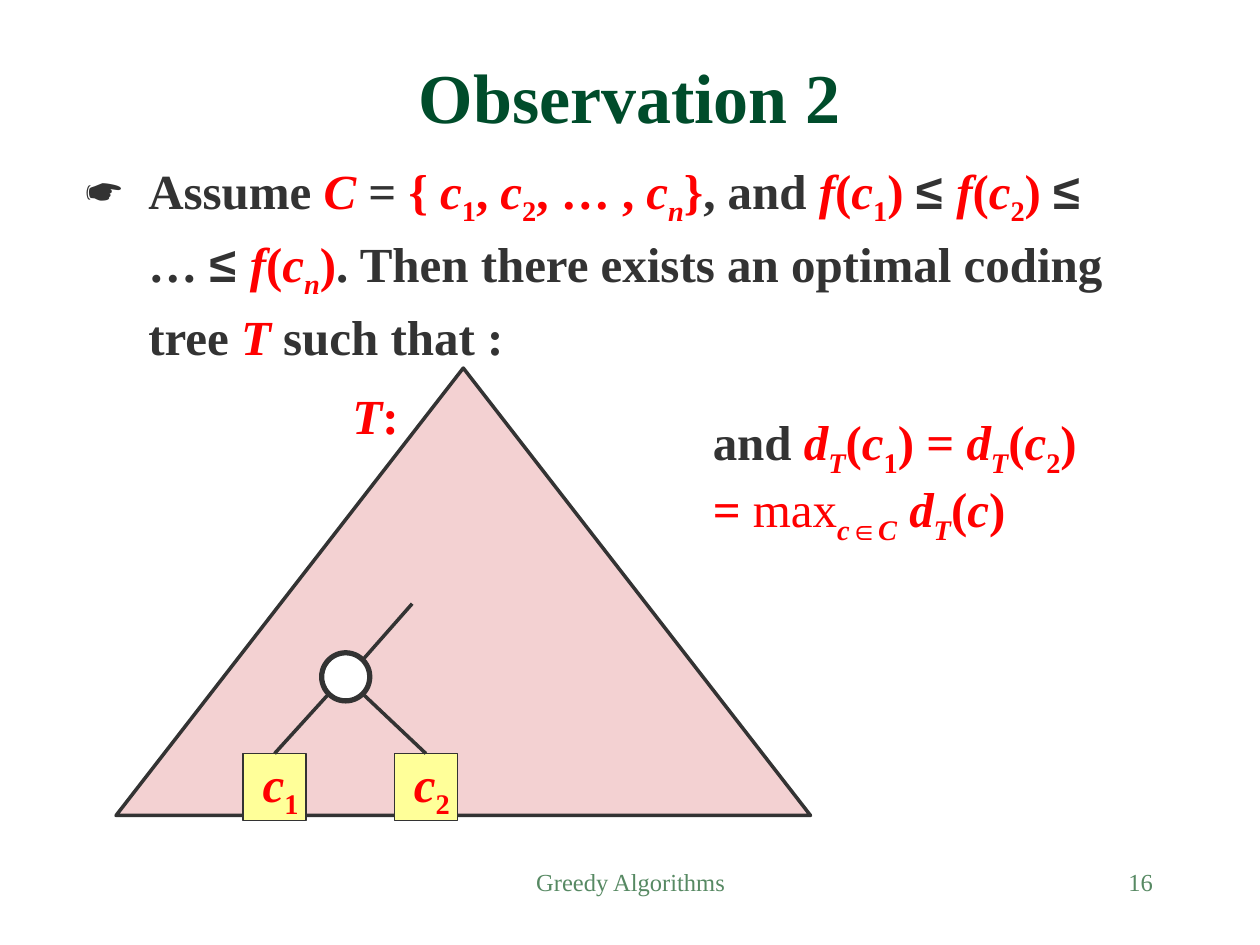
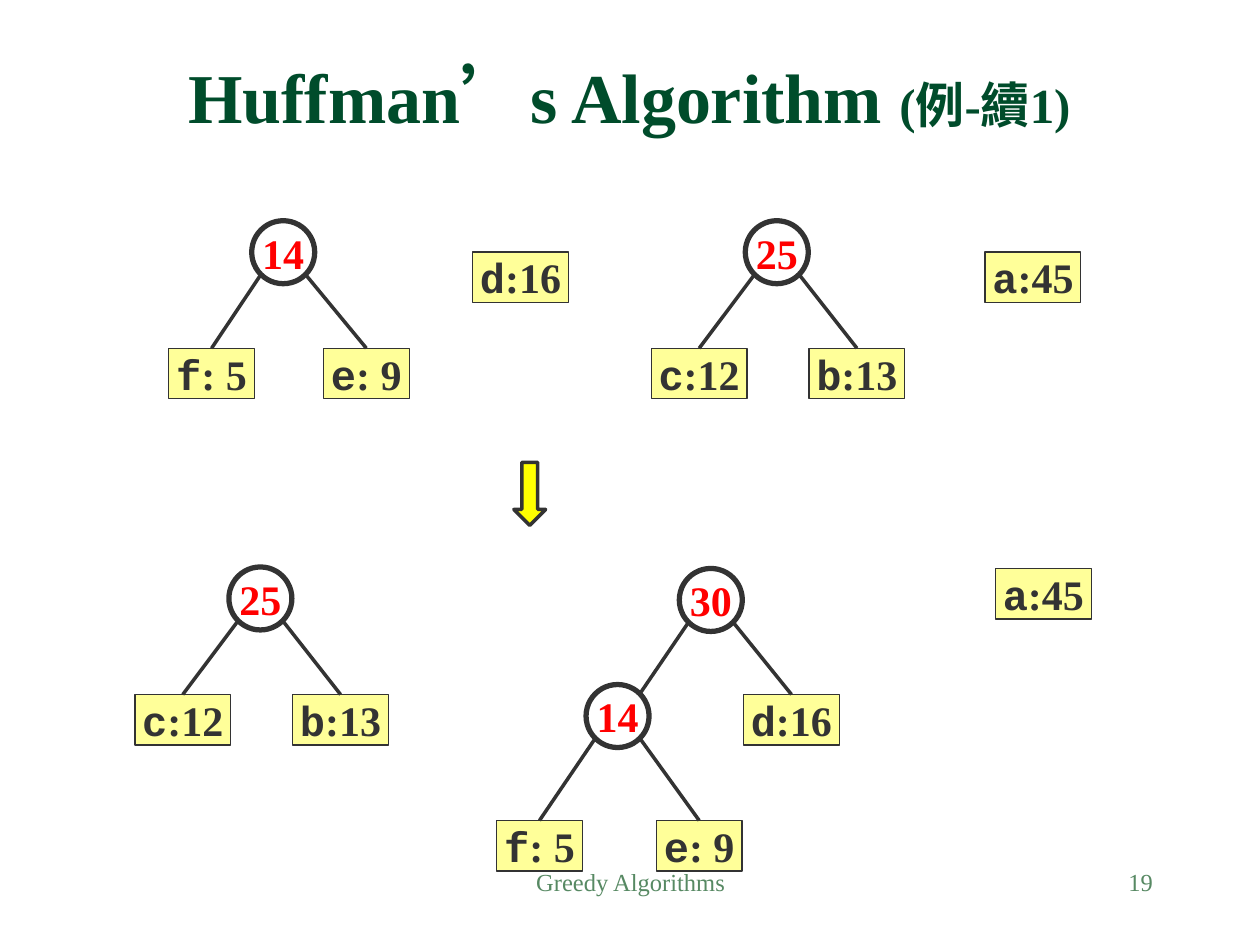
from math import sqrt

from lxml.etree import SubElement
from pptx import Presentation
from pptx.dml.color import RGBColor
from pptx.enum.shapes import MSO_CONNECTOR, MSO_SHAPE
from pptx.enum.text import MSO_ANCHOR, PP_ALIGN
from pptx.oxml.ns import qn
from pptx.util import Cm, Pt

GREEN = RGBColor(0x00, 0x4C, 0x2B)
FOOTER_GREEN = RGBColor(0x57, 0x89, 0x63)
INK = RGBColor(0x33, 0x33, 0x33)
RED = RGBColor(0xFF, 0x00, 0x00)
PINK = RGBColor(0xF3, 0xD1, 0xD2)
PALE_YELLOW = RGBColor(0xFF, 0xFF, 0x99)
YELLOW = RGBColor(0xFF, 0xFF, 0x00)
WHITE = RGBColor(0xFF, 0xFF, 0xFF)
SERIF, SANS, MONO = "Times New Roman", "Arial", "Courier New"

NODE_SIZE = 1.27
LEAF_HEIGHT = 1.02
LEAF_DROP = 2.57


def write(paragraph, runs, size, color=INK, bold=True, align=PP_ALIGN.LEFT):
    paragraph.alignment = align
    font = paragraph.font
    font.name, font.size, font.bold = SERIF, Pt(size), bold
    font.color.rgb = color
    for text, style in runs:
        run = paragraph.add_run()
        run.text = text
        if "r" in style:
            run.font.color.rgb = RED
        if "i" in style:
            run.font.italic = True
        if "l" in style:
            run.font.bold = False
        if "a" in style:
            run.font.name = SANS
        if "m" in style:
            run.font.name = MONO
        if "s" in style:
            run._r.get_or_add_rPr().set("baseline", "-25000")


def add_text(slide, box, wrap=True):
    frame = slide.shapes.add_textbox(*map(Cm, box)).text_frame
    frame.word_wrap = wrap
    return frame


def add_figure(slide, preset, box, fill, line_width):
    figure = slide.shapes.add_shape(preset, *map(Cm, box))
    figure.shadow.inherit = False
    figure.fill.solid()
    figure.fill.fore_color.rgb = fill
    figure.line.color.rgb = INK
    figure.line.width = Pt(line_width)
    return figure


def label(figure, runs, size, color, side_margin, anchor):
    frame = figure.text_frame
    frame.word_wrap = False
    frame.vertical_anchor = anchor
    frame.margin_left = frame.margin_right = Cm(side_margin)
    frame.margin_top = frame.margin_bottom = 0
    write(frame.paragraphs[0], runs, size, color, align=PP_ALIGN.CENTER)


def add_leaf(slide, box, runs, size):
    leaf = add_figure(slide, MSO_SHAPE.RECTANGLE, box, PALE_YELLOW, 0.75)
    label(leaf, runs, size, INK, 0.15, MSO_ANCHOR.TOP)
    return leaf


def add_node(slide, center, top, size=NODE_SIZE, weight=None):
    node = add_figure(slide, MSO_SHAPE.OVAL,
                      (center - size / 2, top, size, size), WHITE, 3)
    if weight:
        label(node, [(weight, "")], 24, RED, 0, MSO_ANCHOR.MIDDLE)
    return node


def rim(node, across, down):
    radius = node.width / 2
    reach = radius / sqrt(2)
    return (int(node.left + radius + across * reach),
            int(node.top + radius + down * reach))


def add_edge(slide, start, end):
    edge = slide.shapes.add_connector(MSO_CONNECTOR.STRAIGHT, *start, *end)
    edge.line.color.rgb = INK
    edge.line.width = Pt(2)
    SubElement(edge._element.spPr, qn("a:effectLst"))
    return edge


def join_leaf(slide, node, leaf, across):
    start = rim(node, across, 1)
    add_edge(slide, start, start).end_connect(leaf, 0)


def add_symbol(slide, left, top, symbol, frequency):
    return add_leaf(slide, (left, top, leaf_width(frequency), LEAF_HEIGHT),
                    [(symbol, "m"), (":" + frequency, "")], 24)


def leaf_width(frequency):
    return 1.73 if frequency.startswith(" ") else 1.93


def add_tree(slide, box, root_offset, weight, symbols):
    left, top, width, drop = box
    root = add_node(slide, left + root_offset, top, weight=weight)
    (first, low), (second, high) = symbols
    lefts = (left, left + width - leaf_width(high))
    for across, leaf_left, symbol, frequency in (
            (-1, lefts[0], first, low), (1, lefts[1], second, high)):
        leaf = add_symbol(slide, leaf_left, top + drop, symbol, frequency)
        join_leaf(slide, root, leaf, across)
    return root


def add_merged_tree(slide, left, top):
    root = add_node(slide, left + 4.32, top, weight="30")
    merged = add_tree(slide, (left, top + 2.34, 4.95, 2.74), 2.44, "14",
                      (("f", " 5"), ("e", " 9")))
    add_edge(slide, rim(root, -1, 1), rim(merged, 1, -1))
    leaf = add_symbol(slide, left + 4.98, top + 2.54, "d", "16")
    join_leaf(slide, root, leaf, 1)


def add_frame(presentation, title_runs, number):
    slide = presentation.slides.add_slide(presentation.slide_layouts[6])
    title = add_text(slide, (1.07, 0.2, 23.24, 2.59))
    title.vertical_anchor = MSO_ANCHOR.MIDDLE
    heading = title.paragraphs[0]
    heading.line_spacing = 1.5
    write(heading, title_runs, 40, GREEN, align=PP_ALIGN.CENTER)
    for left, width, text, align in (
            (8.69, 8.05, "Greedy Algorithms", PP_ALIGN.CENTER),
            (18.21, 5.28, number, PP_ALIGN.RIGHT)):
        footer = add_text(slide, (left, 17.35, width, 1.27))
        write(footer.paragraphs[0], [(text, "")], 14, FOOTER_GREEN, False, align)
    return slide


def symbol_c(index, index_style="rs"):
    return [("c", "ri"), (index, index_style)]


def frequency_of(index, index_style="rs"):
    return [("f", "ri"), ("(", "r"), *symbol_c(index, index_style), (")", "r")]


def depth_of(argument):
    return [("d", "ri"), ("T", "ris"), ("(", "r"), *argument, (")", "r")]


def add_assumption(slide, box):
    frame = add_text(slide, box)
    frame.margin_right = Cm(0.75)
    paragraph = frame.paragraphs[0]
    paragraph.line_spacing = 1.1
    properties = paragraph._p.get_or_add_pPr()
    properties.set("marL", str(Cm(1.27)))
    properties.set("indent", str(-Cm(1.27)))
    bullet_color = SubElement(properties, qn("a:buClr"))
    SubElement(bullet_color, qn("a:srgbClr"), val=str(INK))
    SubElement(properties, qn("a:buChar"), char="☛")
    write(paragraph, [
        ("Assume ", ""), ("C ", "ri"), ("= ", ""), ("{ ", "r"),
        *symbol_c("1"), (", ", "r"), *symbol_c("2"), (", … , ", "r"),
        *symbol_c("n", "ris"), ("}", "r"), (", and ", ""),
        *frequency_of("1"), (" ", ""), ("≤ ", "a"),
        *frequency_of("2"), (" ", ""), ("≤", "a"), (" … ", ""), ("≤ ", "a"),
        *frequency_of("n", "ris"),
        (". Then there exists an optimal coding tree ", ""),
        ("T ", "ri"), ("such that :", "")], 28)


def add_coding_tree(slide, box):
    left, top, width, height = box
    add_figure(slide, MSO_SHAPE.ISOSCELES_TRIANGLE, box, PINK, 2)
    parent = add_node(slide, left + 4.63, top + 5.74, 0.97)
    for across, offset, index in ((-1, 2.56, "1"), (1, 5.61, "2")):
        leaf = add_leaf(slide, (left + offset, top + 7.77, 1.27, 1.35),
                        [(" c", "ri"), (index, "rs")], 28)
        join_leaf(slide, parent, leaf, across)
    add_edge(slide, (Cm(left + 5.97), Cm(top + 4.75)), rim(parent, 1, -1))
    name = add_text(slide, (left + 4.42, top + 0.23, 1.62, 1.45), wrap=False)
    write(name.paragraphs[0], [("T", "ri"), (":", "r")], 28,
          align=PP_ALIGN.CENTER)


def add_depth_claim(slide, box):
    frame = add_text(slide, box, wrap=False)
    write(frame.paragraphs[0], [
        ("and ", ""), *depth_of(symbol_c("1")), (" = ", "r"),
        *depth_of(symbol_c("2"))], 28)
    write(frame.add_paragraph(), [
        ("= ", "r"), ("max", "rl"), ("c", "ris"), ("∈", "ras"), ("C", "ris"),
        (" ", "r"), *depth_of([("c", "ri")])], 28)


def build_observation(presentation):
    slide = add_frame(presentation, [("Observation 2", "")], "16")
    add_assumption(slide, (1.47, 2.97, 21.97, 4.52))
    add_coding_tree(slide, (2.34, 7.42, 14, 9.02))
    add_depth_claim(slide, (14.12, 8.18, 8.08, 2.95))


def build_huffman_step(presentation):
    slide = add_frame(presentation, [("Huffman’s Algorithm ", ""),
                                     ("(例-續1)", "")], "19")
    example = slide.shapes[0].text_frame.paragraphs[0].runs[1]
    example.font.size = Pt(28)
    add_tree(slide, (3.4, 4.45, 4.85, LEAF_DROP), 2.31, "14",
             (("f", " 5"), ("e", " 9")))
    pair = (("c", "12"), ("b", "13"))
    for left, top in ((13.13, 4.45), (2.72, 11.43)):
        add_tree(slide, (left, top, 5.11, LEAF_DROP), 2.53, "25", pair)
    for left, top, symbol, frequency in (
            (9.53, 5.08, "d", "16"), (19.86, 5.08, "a", "45"),
            (20.07, 11.46, "a", "45")):
        add_symbol(slide, left, top, symbol, frequency)
    add_figure(slide, MSO_SHAPE.DOWN_ARROW, (10.36, 9.32, 0.64, 1.27), YELLOW, 2)
    add_merged_tree(slide, 10.01, 11.46)


def main():
    presentation = Presentation()
    presentation.slide_width = Cm(25.4)
    presentation.slide_height = Cm(19.05)
    build_observation(presentation)
    build_huffman_step(presentation)
    presentation.save("out.pptx")


if __name__ == "__main__":
    main()
